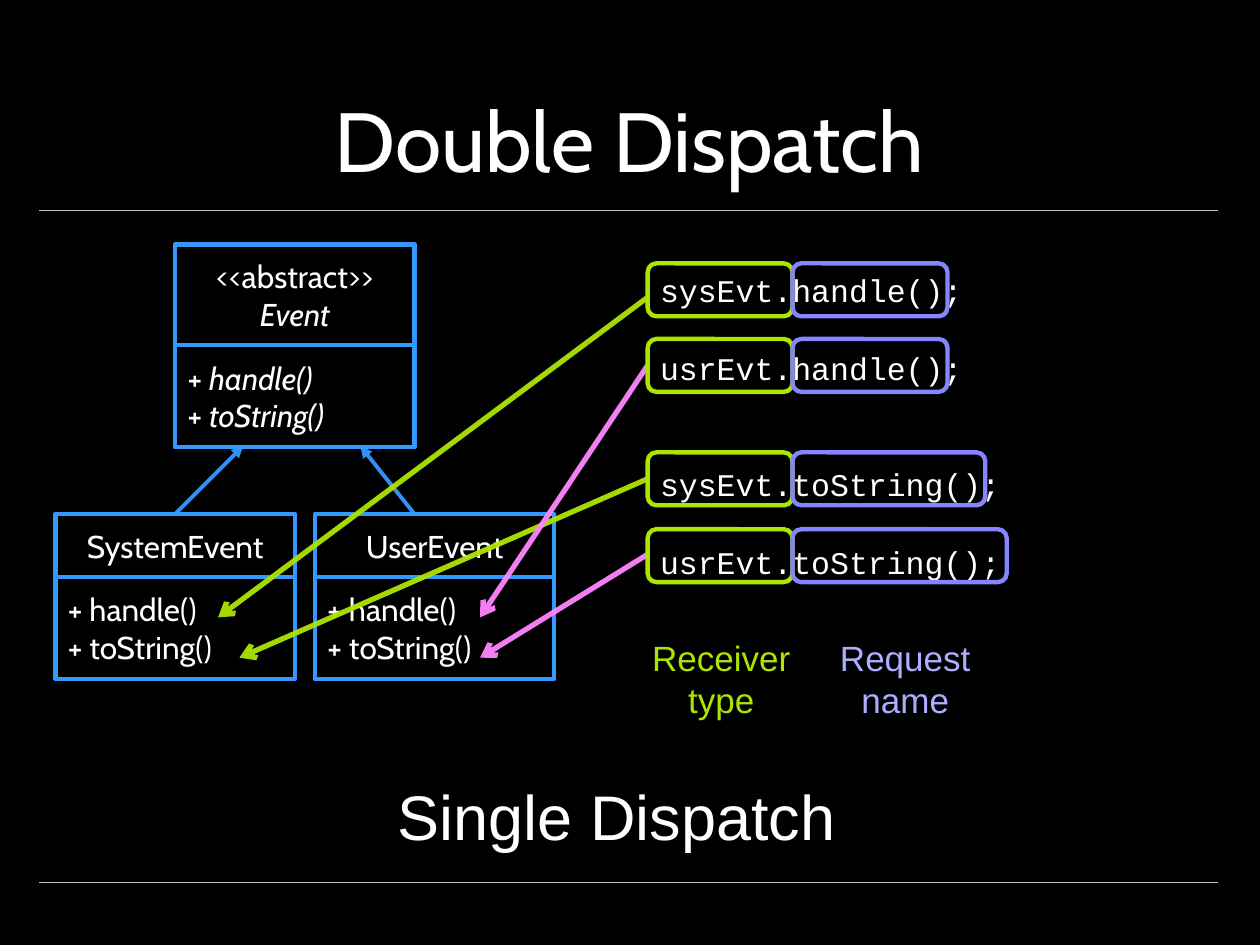
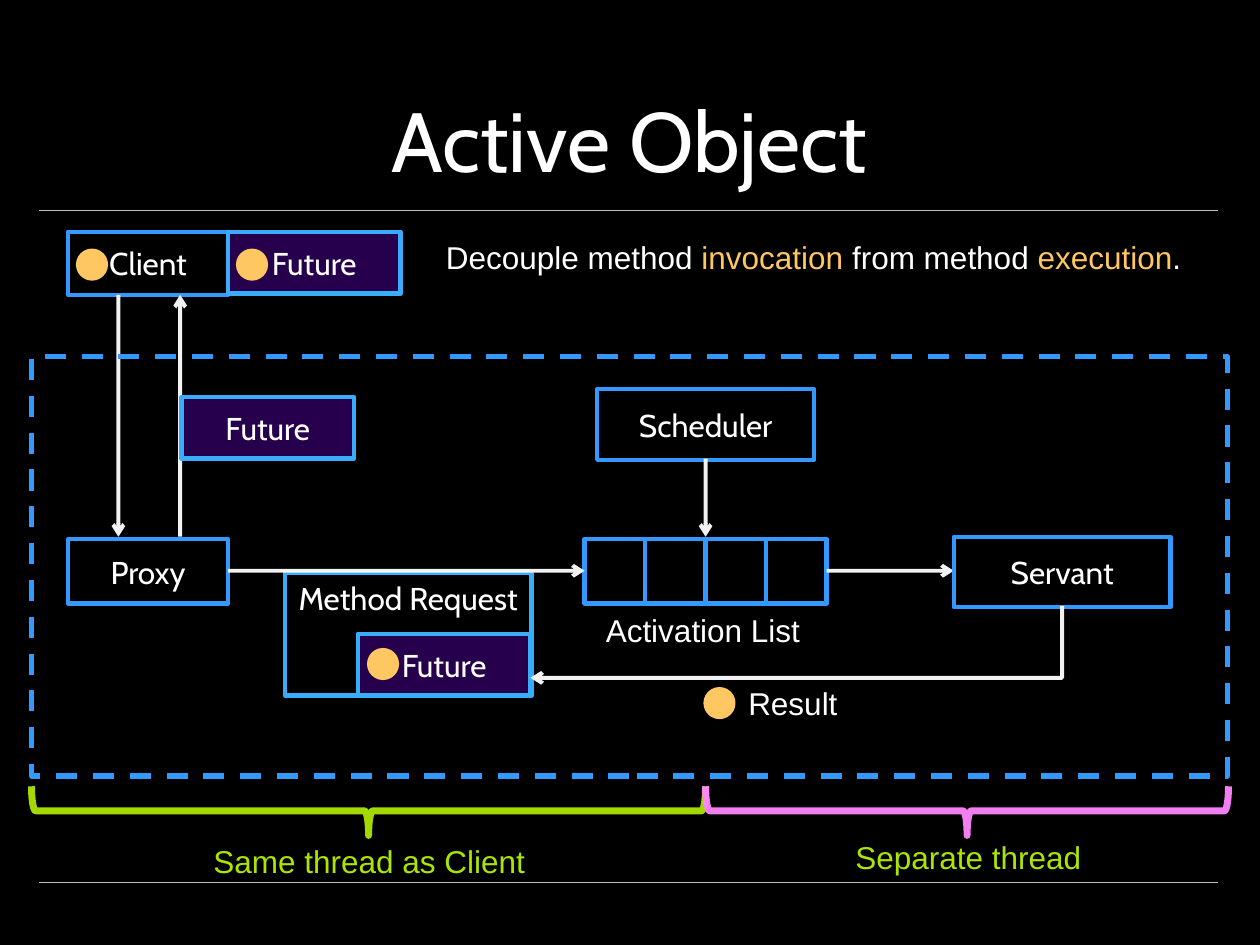
from dataclasses import dataclass

from lxml import etree
from pptx import Presentation
from pptx.dml.color import RGBColor
from pptx.enum.dml import MSO_LINE
from pptx.enum.shapes import MSO_CONNECTOR, MSO_SHAPE
from pptx.enum.text import MSO_ANCHOR, PP_ALIGN
from pptx.oxml.ns import qn
from pptx.util import Inches, Pt

RECT, ROUNDED = MSO_SHAPE.RECTANGLE, MSO_SHAPE.ROUNDED_RECTANGLE
OVAL, BRACE = MSO_SHAPE.OVAL, MSO_SHAPE.RIGHT_BRACE
STRAIGHT, ELBOW = MSO_CONNECTOR.STRAIGHT, MSO_CONNECTOR.ELBOW
LEFT, CENTER = PP_ALIGN.LEFT, PP_ALIGN.CENTER
TOP, MIDDLE, BOTTOM = MSO_ANCHOR.TOP, MSO_ANCHOR.MIDDLE, MSO_ANCHOR.BOTTOM
DASH = MSO_LINE.DASH


@dataclass(frozen=True)
class Theme:
    # Colours
    black: str = "000000"
    white: str = "FFFFFF"
    rule: str = "BFBFBF"
    blue: str = "3399FF"
    sky: str = "39ADF9"
    purple: str = "4D0099"
    green: str = "ACE500"
    pink: str = "FF85FF"
    violet: str = "8585FF"
    lilac: str = "ADADFF"
    amber: str = "FFC762"
    # Fonts and type sizes
    heading: str = "Cabin"
    body: str = "Arial"
    code: str = "Courier New"
    title_size: int = 48
    caption_size: int = 36
    legend_size: int = 20
    text_size: int = 18
    # Line widths
    outline: float = 2.5
    arrow: float = 2.25


@dataclass(frozen=True)
class Run:
    text: str
    color: str = Theme.white
    italic: bool = False


def set_alpha(properties, percent):
    color = properties.find(qn("a:solidFill")).find(qn("a:srgbClr"))
    etree.SubElement(color, qn("a:alpha")).set("val", str(percent * 1000))


class Deck:
    def __init__(self, theme):
        self.theme = theme
        self.prs = Presentation()
        self.prs.slide_width, self.prs.slide_height = Inches(10), Inches(7.5)
        self.slide = None

    def new_slide(self, title):
        t = self.theme
        self.slide = self.prs.slides.add_slide(self.prs.slide_layouts[6])
        background = self.slide.background.fill
        background.solid()
        background.fore_color.rgb = RGBColor.from_string(t.black)
        for y in (1.67, 7):
            self.line((0.31, y), (9.67, y), t.rule, 0.25)
        self.label((0.7, 0.12, 8.59, 1.43), title, t.heading, t.title_size,
                   align=CENTER, anchor=BOTTOM)

    def add_text(self, frame, paragraphs, font, size, align, anchor, gaps=()):
        """Each paragraph is a list of runs; gaps are the spaces between them."""
        frame.vertical_anchor = anchor
        for index, runs in enumerate(paragraphs):
            paragraph = frame.add_paragraph() if index else frame.paragraphs[0]
            paragraph.alignment = align
            if index and gaps:
                paragraph.space_before = Pt(gaps[index - 1])
            for item in runs:
                for number, piece in enumerate(item.text.split("\n")):
                    if number:
                        paragraph.add_line_break()
                    if not piece:
                        continue
                    run = paragraph.add_run()
                    run.text = piece
                    run.font.name, run.font.size = font, Pt(size)
                    run.font.italic = item.italic
                    run.font.color.rgb = RGBColor.from_string(item.color)

    def label(self, box, content, font=None, size=None, color=None,
              align=LEFT, anchor=TOP, wrap=True, gaps=()):
        t = self.theme
        if isinstance(content, str):
            content = [[Run(content, color or t.white)]]
        frame = self.slide.shapes.add_textbox(*map(Inches, box)).text_frame
        frame.word_wrap = wrap
        self.add_text(frame, content, font or t.body, size or t.text_size,
                      align, anchor, gaps)

    def shape(self, kind, box, color, width=None, fill=None):
        shape = self.slide.shapes.add_shape(kind, *map(Inches, box))
        shape.shadow.inherit = False
        if fill:
            shape.fill.solid()
            shape.fill.fore_color.rgb = RGBColor.from_string(fill)
        else:
            shape.fill.background()
        shape.line.color.rgb = RGBColor.from_string(color)
        shape.line.width = Pt(width or self.theme.outline)
        return shape

    def box(self, box, runs=(), color=None, fill=None, align=CENTER, anchor=MIDDLE):
        t = self.theme
        shape = self.shape(RECT, box, color or t.blue, fill=fill)
        if isinstance(runs, str):
            runs = [Run(runs)]
        shape.text_frame.word_wrap = True
        self.add_text(shape.text_frame, [runs], t.heading, t.text_size, align, anchor)
        return shape

    def uml_class(self, left, top, name_height, name, methods):
        self.box((left, top, 1.9, name_height), name)
        self.box((left, top + name_height, 1.9, 0.81), methods, align=LEFT)

    def future(self, left, top):
        t = self.theme
        shape = self.box((left, top, 1.37, 0.49), "Future", t.sky, t.purple)
        set_alpha(shape._element.spPr, 50)

    def result_dot(self, left, top):
        amber = self.theme.amber
        self.shape(OVAL, (left, top, 0.22, 0.22), amber, fill=amber)

    def line(self, start, end, color, width, head=None, kind=STRAIGHT):
        line = self.slide.shapes.add_connector(kind, *map(Inches, (*start, *end)))
        line.line.color.rgb = RGBColor.from_string(color)
        line.line.width = Pt(width)
        properties = line._element.spPr
        outline = properties.find(qn("a:ln"))
        if head:
            set_alpha(outline, 95)
            etree.SubElement(outline, qn("a:tailEnd")).set("type", head)
        etree.SubElement(properties, qn("a:effectLst"))
        return line

    def corner_arrow(self, start, end, color, width):
        """Runs down from start, then left to end: one bend, turned by 90 degrees."""
        (x1, y1), (x2, y2) = start, end
        middle_x, middle_y = (x1 + x2) / 2, (y1 + y2) / 2
        half_w, half_h = (y2 - y1) / 2, (x1 - x2) / 2
        line = self.line((middle_x - half_w, middle_y - half_h),
                         (middle_x + half_w, middle_y + half_h),
                         color, width, "arrow", ELBOW)
        properties = line._element.spPr
        properties.find(qn("a:xfrm")).set("rot", "5400000")
        properties.find(qn("a:prstGeom")).set("prst", "bentConnector2")

    def brace_below(self, left, right, top, color):
        depth, span = 0.39, right - left
        box = ((left + right - depth) / 2, top + (depth - span) / 2, depth, span)
        brace = self.shape(BRACE, box, color, 4)
        brace.rotation = 90
        set_alpha(brace._element.spPr.find(qn("a:ln")), 95)


def double_dispatch(deck):
    t = deck.theme
    deck.new_slide("Double Dispatch")

    # Class diagram
    deck.uml_class(1.39, 1.94, 0.8,
                   [Run("<<abstract>>\n"), Run("Event", italic=True)],
                   [Run("+ "), Run("handle()\n", italic=True),
                    Run("+ "), Run("toString()", italic=True)])
    for left, name in ((0.44, "SystemEvent"), (2.5, "UserEvent")):
        deck.uml_class(left, 4.08, 0.5, name, "+ handle()\n+ toString()")
    for start_x, end_x in ((1.39, 1.93), (3.29, 2.86)):
        deck.line((start_x, 4.08), (end_x, 3.54), t.blue, t.arrow, "triangle")

    # Calls, with blank room between the two pairs
    calls = ("sysEvt.handle();", "usrEvt.handle();",
             "sysEvt.toString();", "usrEvt.toString();")
    deck.label((5.14, 2.1, 3.06, 2.52), [[Run(call)] for call in calls],
               t.code, gaps=(23, 44.5, 23))

    # Which method each call reaches
    for start_y, end, color in ((2.36, (1.73, 4.9), t.green),
                                (3.8, (1.9, 5.22), t.green),
                                (2.9, (3.81, 4.9), t.pink),
                                (4.4, (3.81, 5.22), t.pink)):
        deck.line((5.14, start_y), end, color, 3, "arrow")

    # Frames round the receiver and the request
    for top, request_width in ((2.09, 1.23), (2.69, 1.23), (3.59, 1.53), (4.2, 1.7)):
        deck.shape(ROUNDED, (5.14, top, 1.15, 0.42), t.green)
        deck.shape(ROUNDED, (6.29, top, request_width, 0.42), t.violet)
    for left, legend, color in ((4.92, "Receiver type", t.green),
                                (6.38, "Request name", t.lilac)):
        deck.label((left, 5, 1.61, 0.77), legend, size=t.legend_size,
                   color=color, align=CENTER)

    deck.label((3.06, 6.12, 3.71, 0.71), "Single Dispatch",
               size=t.caption_size, wrap=False)


def active_object(deck):
    t = deck.theme
    deck.new_slide("Active Object")

    # Scheduler, proxy and activation list
    deck.box((4.74, 3.09, 1.72, 0.56), "Scheduler")
    deck.box((0.54, 4.28, 1.27, 0.51), "Proxy")
    for slot in range(4):
        deck.box((4.64 + 0.48 * slot, 4.28, 0.48, 0.51))
    deck.label((4.71, 4.8, 1.77, 0.4), "Activation List", wrap=False)

    # Method request with its future
    deck.future(2.84, 5.03)
    deck.box((2.26, 4.55, 1.96, 0.97), "Method Request", t.sky, anchor=TOP)

    # Flow to the servant and back with the result
    for start, end in (((1.81, 4.53), (4.64, 4.53)),
                       ((5.6, 3.64), (5.6, 4.26)),
                       ((6.56, 4.53), (7.57, 4.53))):
        deck.line(start, end, t.white, t.arrow, "arrow")
    deck.box((7.57, 4.26, 1.72, 0.56), "Servant")
    deck.corner_arrow((8.43, 4.81), (4.21, 5.38), t.white, t.arrow)
    deck.label((5.84, 5.38, 0.92, 0.4), "Result", wrap=False)

    # Client, calling the proxy and getting a future
    deck.box((0.54, 1.84, 1.27, 0.5), "Client")
    deck.line((0.94, 2.34), (0.94, 4.26), t.white, t.arrow, "arrow")
    deck.line((1.43, 4.26), (1.43, 2.34), t.white, t.arrow, "arrow")

    # Pattern boundary and threads
    boundary = deck.shape(RECT, (0.25, 2.83, 9.49, 3.33), t.blue, 3)
    boundary.line.dash_style = DASH
    deck.brace_below(0.25, 5.6, 6.24, t.green)
    deck.brace_below(5.6, 9.75, 6.24, t.pink)
    for box, thread in (((1.58, 6.63, 2.7, 0.4), "Same thread as Client"),
                        ((6.68, 6.6, 2.01, 0.4), "Separate thread")):
        deck.label(box, thread, color=t.green, align=CENTER, wrap=False)

    # Futures handed over, and the result in each place
    deck.future(1.44, 3.15)
    deck.future(1.81, 1.84)
    for left, top in ((5.6, 5.47), (2.93, 5.16), (1.89, 1.99), (0.62, 1.99)):
        deck.result_dot(left, top)

    deck.label((3.44, 1.84, 6.24, 0.4),
               [[Run("Decouple method "), Run("invocation ", t.amber),
                 Run("from method "), Run("execution", t.amber), Run(".")]])


def main():
    deck = Deck(Theme())
    double_dispatch(deck)
    active_object(deck)
    deck.prs.save("out.pptx")


if __name__ == "__main__":
    main()
